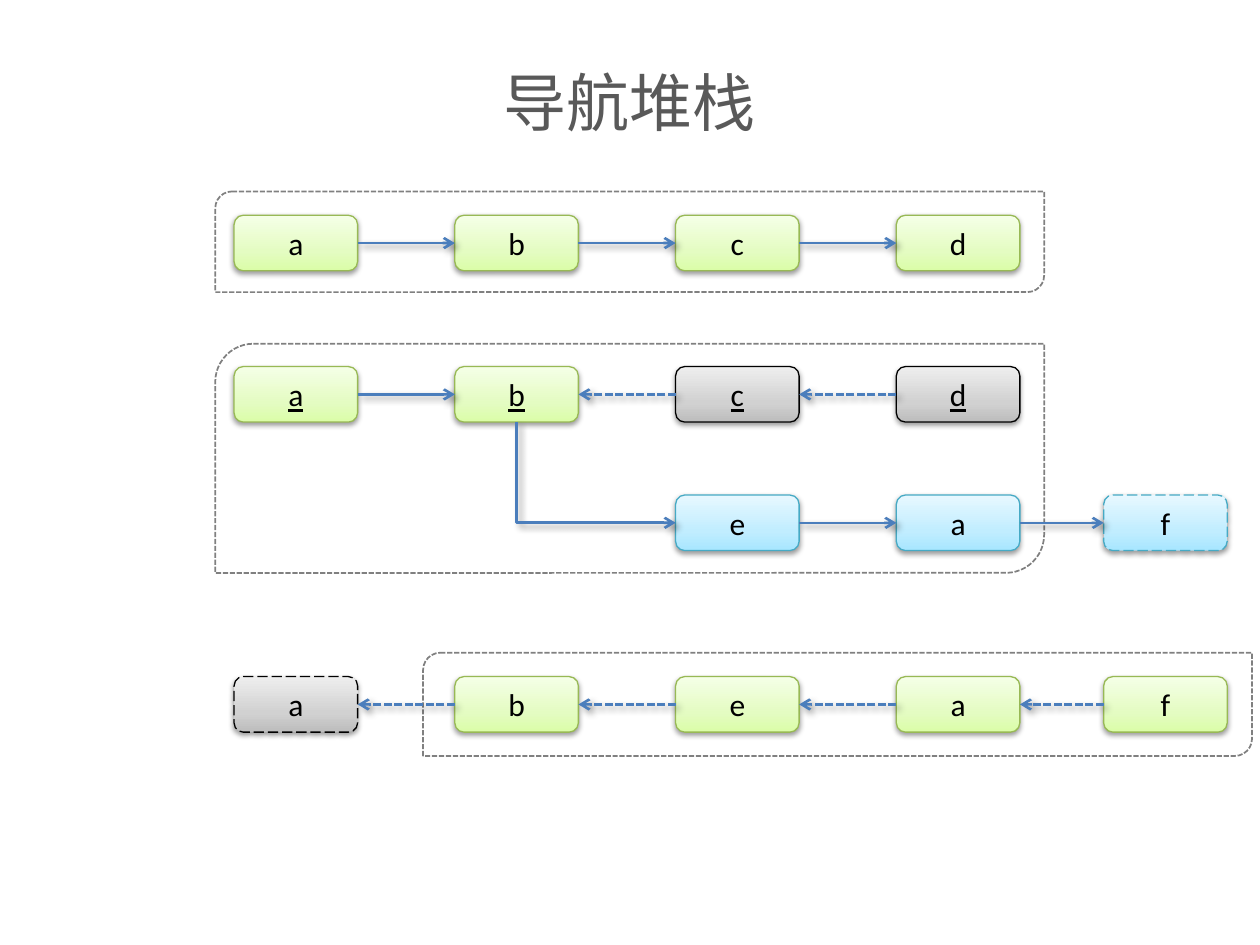
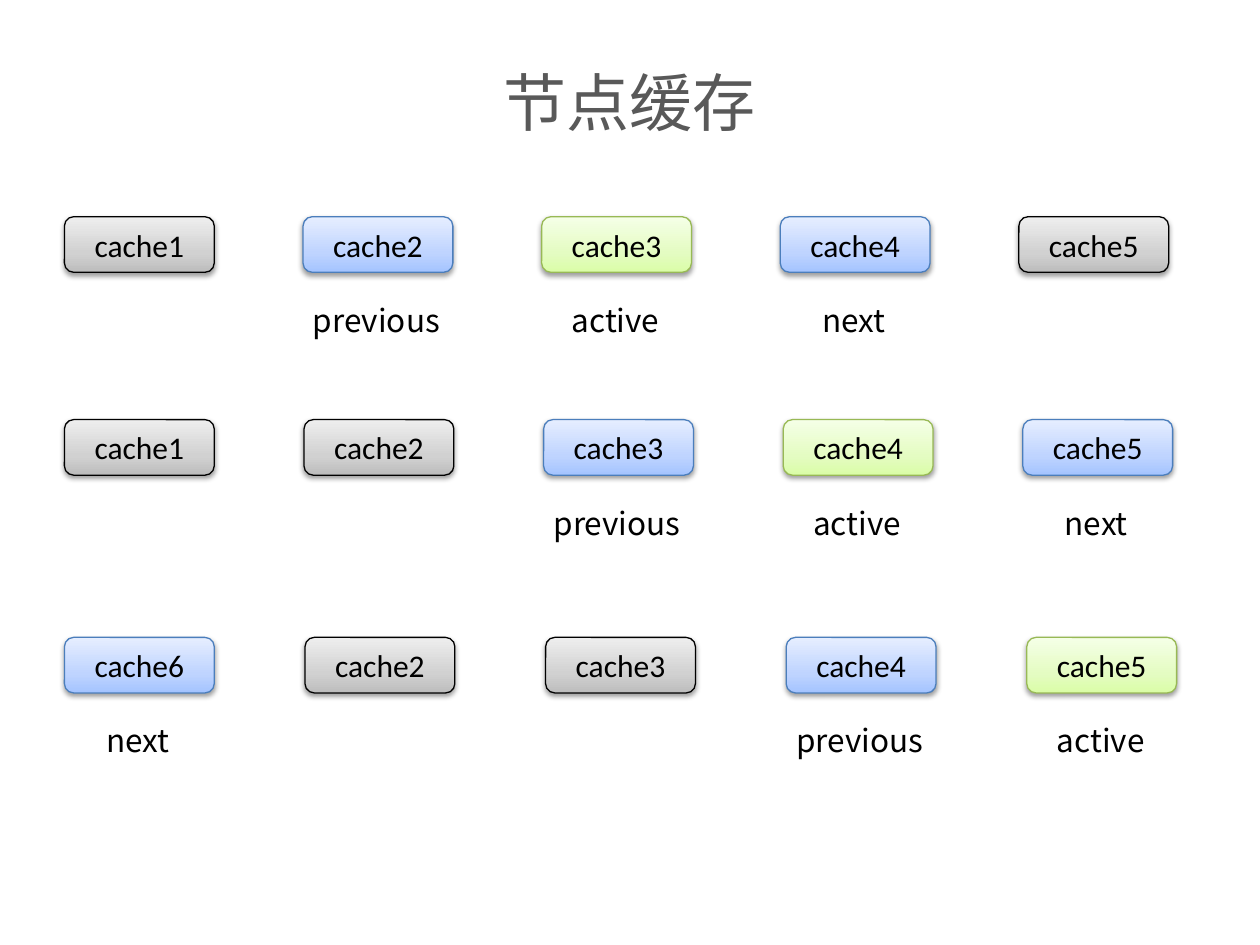
from dataclasses import dataclass

from lxml import etree
from pptx import Presentation
from pptx.dml.color import RGBColor
from pptx.enum.dml import MSO_LINE
from pptx.enum.shapes import MSO_CONNECTOR, MSO_SHAPE
from pptx.enum.text import MSO_ANCHOR, PP_ALIGN
from pptx.oxml.ns import qn
from pptx.util import Cm, Pt

BOX, FRAME = MSO_SHAPE.ROUNDED_RECTANGLE, MSO_SHAPE.ROUND_2_DIAG_RECTANGLE
LINE, BENT = MSO_CONNECTOR.STRAIGHT, MSO_CONNECTOR.ELBOW
SHORT, LONG = MSO_LINE.SQUARE_DOT, MSO_LINE.LONG_DASH
LEFT, MID = PP_ALIGN.LEFT, PP_ALIGN.CENTER
TOP, CENTER = MSO_ANCHOR.TOP, MSO_ANCHOR.MIDDLE
# Connection sites of a box
WEST, SOUTH, EAST = 1, 2, 3


@dataclass(frozen=True)
class Theme:
    """Colours, fonts and type sizes of both slides."""
    title: str = "595959"
    ink: str = "000000"
    frame: str = "808080"
    arrow: str = "4B7EBC"
    latin: str = "Calibri"
    hans: str = "Noto Sans CJK SC"
    big: int = 36
    body: int = 18
    thin: float = 0.75
    rim: float = 1
    bold: float = 1.5


THEME = Theme()

# Look: outline, then the gradient from bottom to top
LOOKS = {
    "green": ("98B955", "DAFDA7", "E4FCC2", "F5FFE7"),
    "gray": ("000000", "BDBDBD", "D1D1D1", "EEEEEE"),
    "cyan": ("46AAC5", "A7E6FF", "C1EDFF", "E7F8FF"),
    "blue": ("4B7EBC", "A4C4FF", "BFD4FF", "E6EEFF"),
}
STOPS = (0, 35, 100)
# Shadow: opacity %, blur pt, distance pt, angle
SOFT = (38, 3.1, 1.6, 90)
SLANT = (40, 4, 3, 45)

# Slide 1, in cm
STACK = "导航堆栈"
COLS = [4.72 + 4.45 * i for i in range(4)] + [22.25]
ROWS = (4.34, 7.39, 9.98, 13.64)
NODE = (2.49, 1.12)
FRAMES = [
    (4.34, 3.86, 16.71, 2.03),
    (4.34, 6.93, 16.71, 4.62),
    (8.53, 13.16, 16.71, 2.08),
]
# Row, first column, letters, looks, underlined
CHAINS = [
    (0, 0, "abcd", ["green"] * 4, False),
    (1, 0, "abcd", ["green", "green", "gray", "gray"], True),
    (2, 2, "eaf", ["cyan"] * 3, False),
    (3, 0, "abeaf", ["gray"] + ["green"] * 4, False),
]
DASHED = {(2, 4), (3, 0)}
# From (row, column) to (row, column)
AHEAD = [
    ((0, 0), (0, 1)), ((0, 1), (0, 2)), ((0, 2), (0, 3)),
    ((1, 0), (1, 1)), ((1, 1), (2, 2)),
    ((2, 2), (2, 3)), ((2, 3), (2, 4)),
]
BACK = [
    ((1, 3), (1, 2)), ((1, 2), (1, 1)),
    ((3, 4), (3, 3)), ((3, 3), (3, 2)), ((3, 2), (3, 1)), ((3, 1), (3, 0)),
]

# Slide 2, in cm
CACHE = "节点缓存"
CELL = (3.02, 1.12)
START, DROP = 1.3, 1.57
ROLES = {"previous": "blue", "active": "green", "next": "blue", "": "gray"}
WIDTHS = {"previous": 3.12, "active": 2.31, "next": 1.83}
# Top, step, (cache number, role) from left to right
STEPS = [
    (4.37, 4.81, [(1, ""), (2, "previous"), (3, "active"), (4, "next"), (5, "")]),
    (8.46, 4.83, [(1, ""), (2, ""), (3, "previous"), (4, "active"), (5, "next")]),
    (12.85, 4.85, [(6, "next"), (2, ""), (3, ""), (4, "previous"), (5, "active")]),
]


def sub(node, tag, **attrs):
    """Append an XML child and return it."""
    return etree.SubElement(node, qn(tag), {k: str(v) for k, v in attrs.items()})


def color(code):
    """Turn a hex code into a colour."""
    return RGBColor.from_string(code)


def write(shape, text, size=THEME.body, tone=THEME.ink, font=THEME.latin,
          align=MID, anchor=CENTER, wrap=True, under=False):
    """Put formatted text into a shape."""
    frame = shape.text_frame
    frame.word_wrap, frame.vertical_anchor = wrap, anchor
    para = frame.paragraphs[0]
    para.alignment = align
    run = para.add_run()
    run.text = text
    run.font.size, run.font.name = Pt(size), font
    run.font.color.rgb = color(tone)
    if under:
        run.font.underline = True
    sub(run.font._element, "a:ea", typeface=THEME.hans)


def stroke(line, tone, width, dash=None):
    """Set colour, width and dash of a line."""
    line.color.rgb, line.width = color(tone), Pt(width)
    if dash:
        line.dash_style = dash


def shade(effects, alpha, blur, dist, angle):
    """Add an outer shadow to an effect list."""
    cast = sub(effects, "a:outerShdw", blurRad=int(Pt(blur)), dist=int(Pt(dist)),
               dir=angle * 60000, rotWithShape=0)
    sub(sub(cast, "a:srgbClr", val="000000"), "a:alpha", val=alpha * 1000)


def place(slide, kind, rect):
    """Add a preset shape at a place given in cm."""
    shape = slide.shapes.add_shape(kind, *map(Cm, rect))
    shape.shadow.inherit = False
    return shape


def label(slide, rect, text, **style):
    """Add a text box at a place given in cm."""
    write(slide.shapes.add_textbox(*map(Cm, rect)), text, font=THEME.hans, **style)


def box(slide, rect, text, look, dash=None, under=False):
    """Draw a shaded rounded box with a caption."""
    edge, *tones = LOOKS[look]
    shape = place(slide, BOX, rect)
    shape.fill.gradient()
    props = shape.element.spPr
    grad = props.find(qn("a:gradFill"))
    for child in list(grad):
        grad.remove(child)
    stops = sub(grad, "a:gsLst")
    for pos, tone in zip(STOPS, tones):
        sub(sub(stops, "a:gs", pos=pos * 1000), "a:srgbClr", val=tone)
    sub(grad, "a:lin", ang=270 * 60000, scaled=0)
    stroke(shape.line, edge, THEME.thin, dash)
    shade(props.find(qn("a:effectLst")), *SOFT)
    write(shape, text, under=under)
    return shape


def bend(link):
    """Make an elbow go down first, then right, with one corner."""
    props = link.element.spPr
    props.find(qn("a:prstGeom")).set("prst", "bentConnector2")
    wide, high = link.width, link.height
    link.left += (wide - high) // 2
    link.top += (high - wide) // 2
    link.width, link.height = high, wide
    frame = props.find(qn("a:xfrm"))
    frame.set("rot", str(270 * 60000))
    frame.set("flipH", "1")


def join(slide, nodes, start, end, dash=None):
    """Link two boxes with an arrow."""
    turn = start[0] != end[0]
    if turn:
        sites = SOUTH, WEST
    else:
        sites = (EAST, WEST) if start[1] < end[1] else (WEST, EAST)
    link = slide.shapes.add_connector(BENT if turn else LINE, 0, 0, 0, 0)
    # The far end goes first, so that no stale corner flips the link
    link.end_connect(nodes[end], sites[1])
    link.begin_connect(nodes[start], sites[0])
    if turn:
        bend(link)
    stroke(link.line, THEME.arrow, THEME.bold, dash)
    sub(link.line._get_or_add_ln(), "a:tailEnd", type="arrow")
    shade(sub(link.element.spPr, "a:effectLst"), *SLANT)


def begin(deck, title):
    """Add a blank slide with its title."""
    slide = deck.slides.add_slide(deck.slide_layouts[6])
    label(slide, (1.27, 0.46, 22.86, 3.18), title, size=THEME.big, tone=THEME.title)
    return slide


def stack(deck):
    """Build the slide of the navigation stack."""
    slide = begin(deck, STACK)
    for rect in FRAMES:
        rim = place(slide, FRAME, rect)
        rim.fill.background()
        stroke(rim.line, THEME.frame, THEME.rim, SHORT)
    nodes = {}
    for row, first, names, looks, under in CHAINS:
        for col, (name, look) in enumerate(zip(names, looks), first):
            key = row, col
            dash = LONG if key in DASHED else None
            nodes[key] = box(slide, (COLS[col], ROWS[row], *NODE), name, look, dash, under)
    for pairs, dash in ((AHEAD, None), (BACK, SHORT)):
        for start, end in pairs:
            join(slide, nodes, start, end, dash)


def cache(deck):
    """Build the slide of the node cache."""
    slide = begin(deck, CACHE)
    for top, step, cells in STEPS:
        for col, (num, role) in enumerate(cells):
            left = START + col * step
            box(slide, (left, top, *CELL), f"cache{num}", ROLES[role])
            if role:
                wide = WIDTHS[role]
                rect = (left + (CELL[0] - wide) / 2, top + DROP, wide, 1.02)
                label(slide, rect, role, align=LEFT, anchor=TOP, wrap=False)


def main():
    """Build and save the deck."""
    deck = Presentation()
    deck.slide_width, deck.slide_height = Cm(25.4), Cm(19.05)
    stack(deck)
    cache(deck)
    deck.save("out.pptx")


main()
